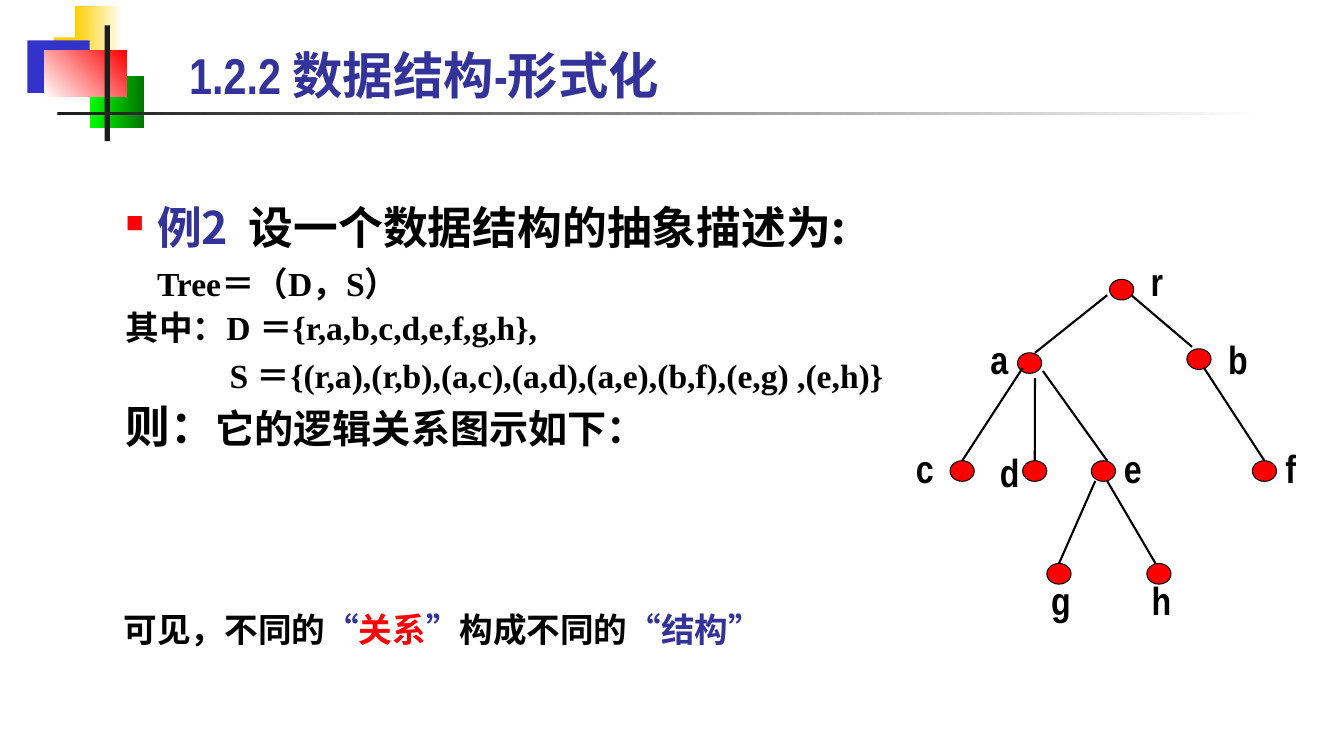
from dataclasses import dataclass
from typing import NamedTuple

from lxml import etree
from pptx import Presentation
from pptx import util as u
from pptx.dml.color import RGBColor
from pptx.enum import shapes, text
from pptx.oxml.ns import qn


@dataclass(frozen=True)
class Theme:
    black: str = "000000"
    white: str = "FFFFFF"
    ink: str = "1C1C1C"
    red: str = "FF0000"
    navy: str = "333399"
    blue: str = "3333CC"
    gold: str = "FFCF01"
    lime: str = "00FF00"
    green: str = "007600"
    cjk: str = "Noto Sans CJK SC"
    sans: str = "Arial Narrow"
    serif: str = "Times New Roman"
    title: int = 36
    head: int = 32
    label: int = 28
    body: int = 24


T = Theme()


class Block(NamedTuple):
    left: float
    top: float
    width: float
    height: float
    start: str
    end: str = ""
    angle: int = 0


class Node(NamedTuple):
    name: str
    left: float
    top: float
    tag_left: float
    tag_top: float
    tag_width: float = 1.17


class Edge(NamedTuple):
    left: float
    top: float
    child: str
    right: float = 0
    low: float = 0


class Run(NamedTuple):
    words: str
    size: int
    face: str = T.cjk
    color: str = T.black


class Line(NamedTuple):
    runs: list[Run]
    before: float = 0
    margin: float = 0
    indent: float = 0
    bullet: bool = False
    align: text.PP_ALIGN = text.PP_ALIGN.LEFT
    pitch: float = 1


BLOCKS = [
    Block(1.35, 0.94, 1.63, 1.32, T.gold),
    Block(1.88, 0.15, 1.22, 1.32, T.gold, T.white),
    Block(0.69, 1.02, 1.57, 1.32, T.blue),
    Block(2.26, 1.91, 1.37, 1.32, T.lime, T.green),
    Block(1.12, 1.27, 2.08, 1.17, T.white, T.red, 45),
    Block(2.64, 0.64, 0.13, 2.92, T.ink),
    Block(1.45, 2.82, 30.48, 0.08, T.ink, T.white),
]

NODES = [
    Node("r", 27.97, 7.04, 28.58, 6.35),
    Node("a", 25.65, 8.89, 24.54, 8.33, 1.3),
    Node("b", 29.92, 8.79, 30.53, 8.33, 1.35),
    Node("c", 23.95, 11.61, 22.73, 11.07),
    Node("d", 25.78, 11.61, 24.87, 11.18),
    Node("e", 27.51, 11.61, 27.97, 11.07),
    Node("f", 31.57, 11.61, 31.95, 11.07),
    Node("g", 26.39, 14.2, 26.16, 14.4),
    Node("h", 28.91, 14.2, 28.52, 14.4, 1.52),
]

EDGES = [
    Edge(27.91, 7.44, "", 26.09, 8.89),
    Edge(28.52, 7.44, "", 30.05, 8.74),
    Edge(25.78, 9.27, "c"),
    Edge(26.09, 9.53, "d"),
    Edge(26.29, 9.35, "", 27.91, 11.61),
    Edge(30.35, 9.27, "f"),
    Edge(27.61, 12.12, "g"),
    Edge(27.91, 12.12, "", 29.13, 14.2),
]

BODY = [
    Line([Run("例2  ", T.head, color=T.navy), Run("设一个数据结构的抽象描述为:", T.head)],
         8, 2.06, -0.79, True, pitch=0.9),
    Line([Run("Tree＝（D，S）", T.body, T.serif)], 9.5, 2.06, pitch=0.9),
    Line([Run("其中：", T.body, T.sans), Run("D ＝{r,a,b,c,d,e,f,g,h},", T.body, T.serif)],
         6, 1.27, pitch=0.9),
    Line([Run("S ＝{(r,a),(r,b),(a,c),(a,d),(a,e),(b,f),(e,g) ,(e,h)}", T.body, T.serif)],
         8, 3.89, pitch=0.9),
    Line([Run("则：", T.head), Run("它的逻辑关系图示如下：", T.label)], 7, 1.27, pitch=0.9),
]

CLOSE = Line([
    Run("可见，不同的", T.body), Run("“", T.body, color=T.navy),
    Run("关系", T.body, color=T.red), Run("”", T.body, color=T.navy),
    Run("构成不同的", T.body), Run("“结构”", T.body, color=T.navy),
])


def rgb(code: str) -> RGBColor:
    return RGBColor.from_string(code)


def add_block(slide, block: Block) -> None:
    shape = slide.shapes.add_shape(
        shapes.MSO_SHAPE.RECTANGLE, *map(u.Cm, block[:4]))
    shape.shadow.inherit = False
    shape.line.fill.background()
    if block.end:
        shape.fill.gradient()
        shape.fill.gradient_angle = block.angle
        for stop, code, place in zip(shape.fill.gradient_stops, block[4:6], (0, 1)):
            stop.color.rgb = rgb(code)
            stop.position = place
    else:
        shape.fill.solid()
        shape.fill.fore_color.rgb = rgb(block.start)


def add_run(para, item: Run) -> None:
    run = para.add_run()
    run.text = item.words
    run.font.size = u.Pt(item.size)
    run.font.name = item.face
    run.font.bold = True
    run.font.color.rgb = rgb(item.color)
    etree.SubElement(run.font._element, qn("a:ea"), typeface=T.cjk)


def add_text(slide, left: float, top: float, width: float, height: float,
             lines: list[Line], anchor=text.MSO_ANCHOR.TOP) -> None:
    frame = slide.shapes.add_textbox(*map(u.Cm, (left, top, width, height))).text_frame
    frame.word_wrap = True
    frame.vertical_anchor = anchor
    for rank, line in enumerate(lines):
        para = frame.add_paragraph() if rank else frame.paragraphs[0]
        para.alignment = line.align
        para.space_before = u.Pt(line.before)
        para.line_spacing = line.pitch
        props = para._p.get_or_add_pPr()
        props.set("marL", str(u.Cm(line.margin)))
        props.set("indent", str(u.Cm(line.indent)))
        if line.bullet:
            tint = etree.SubElement(props, qn("a:buClr"))
            etree.SubElement(tint, qn("a:srgbClr"), val=T.red)
            etree.SubElement(props, qn("a:buSzPct"), val="55000")
            etree.SubElement(props, qn("a:buChar"), char="■")
        for item in line.runs:
            add_run(para, item)


def add_node(slide, node: Node):
    dot = slide.shapes.add_shape(shapes.MSO_SHAPE.FLOWCHART_CONNECTOR,
                                 u.Cm(node.left), u.Cm(node.top), u.Cm(0.61), u.Cm(0.52))
    dot.shadow.inherit = False
    dot.fill.solid()
    dot.fill.fore_color.rgb = rgb(T.red)
    dot.line.color.rgb = rgb(T.black)
    dot.line.width = u.Pt(0.75)
    tag = Line([Run(node.name, T.label, T.sans)], align=text.PP_ALIGN.CENTER)
    add_text(slide, node.tag_left, node.tag_top, node.tag_width, 1.45, [tag])
    return dot


def add_edge(slide, edge: Edge, dots: dict) -> None:
    link = slide.shapes.add_connector(
        shapes.MSO_CONNECTOR.STRAIGHT,
        u.Cm(edge.left), u.Cm(edge.top), u.Cm(edge.right), u.Cm(edge.low))
    if edge.child:
        link.end_connect(dots[edge.child], 0)
    link.line.color.rgb = rgb(T.black)
    link.line.width = u.Pt(1.5)
    etree.SubElement(link._element.spPr, qn("a:effectLst"))


def main() -> None:
    deck = Presentation()
    deck.slide_width, deck.slide_height = u.Cm(33.88), u.Cm(19.05)
    slide = deck.slides.add_slide(deck.slide_layouts[6])
    for block in BLOCKS:
        add_block(slide, block)
    title = Line([Run("1.2.2 数据结构-形式化", T.title, T.sans, T.navy)])
    add_text(slide, 4.52, 0.64, 28.85, 2.11, [title], text.MSO_ANCHOR.BOTTOM)
    add_text(slide, 1.65, 5.05, 24, 11.4, BODY)
    dots = {node.name: add_node(slide, node) for node in NODES}
    for edge in EDGES:
        add_edge(slide, edge, dots)
    add_text(slide, 2.87, 15.21, 22.45, 1.27, [CLOSE])
    deck.save("out.pptx")


if __name__ == "__main__":
    main()
